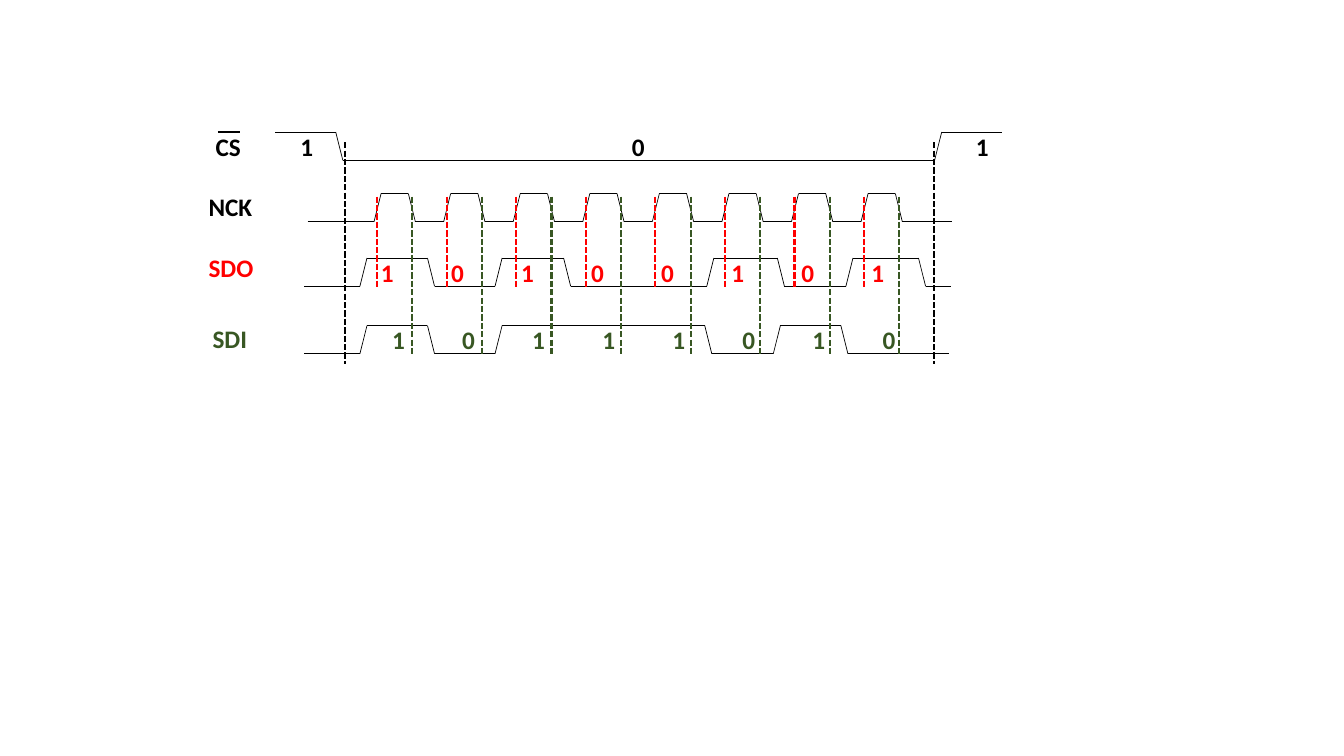
from lxml.etree import SubElement
from pptx import Presentation
from pptx.dml.color import RGBColor
from pptx.enum.dml import MSO_LINE_DASH_STYLE as Dash
from pptx.enum.shapes import MSO_CONNECTOR_TYPE as Connector
from pptx.enum.text import MSO_AUTO_SIZE as AutoSize
from pptx.oxml.ns import qn
from pptx.util import Inches, Pt

COLORS = {"black": "000000", "red": "FF0000", "green": "385723"}
FONT = {"name": "Calibri", "size": Pt(18), "bold": True}
SLOPE = 0.07
SWING = 0.28
PERIOD = 0.69
BIT_STEP = 0.695
CLOCK_EDGES = [x + PERIOD * i for i in range(8) for x in (3.71, 4.05)]

SIGNALS = [
    (2.73, 9.94, 1.59, True, [3.33, 9.27]),
    (3.05, 9.44, 2.2, False, CLOCK_EDGES),
    (3.02, 9.43, 2.84, False, [3.57, 4.24, 4.91, 5.59, 7.01, 7.71, 8.39, 9.11]),
    (3.02, 9.41, 3.51, False, [3.57, 4.24, 4.91, 6.99, 7.67, 8.34]),
]
LABELS = [
    ("CS", 2.04, 1.25, 0.45, "black"),
    ("NCK", 1.97, 1.85, 0.64, "black"),
    ("SDO", 1.97, 2.45, 0.65, "red"),
    ("SDI", 2.01, 3.16, 0.55, "green"),
    ("1", 2.88, 1.25, 0.33, "black"),
    ("0", 6.17, 1.25, 0.33, "black"),
    ("1", 9.58, 1.25, 0.33, "black"),
]
BIT_ROWS = [("10100101", 3.68, 2.5, "red"), ("10111010", 3.79, 3.17, "green")]
SAMPLE_LINES = [(3.74, 2.85, "red"), (4.09, 3.52, "green")]


def add_line(s, x1, y1, x2, y2, color="black", width=0.5, dash=None):
    line = s.shapes.add_connector(
        Connector.STRAIGHT, Inches(x1), Inches(y1), Inches(x2), Inches(y2))
    line.line.color.rgb = RGBColor.from_string(COLORS[color])
    line.line.width = Pt(width)
    if dash:
        line.line.dash_style = dash
    SubElement(line._element.spPr, qn("a:effectLst"))


def add_dashed(s, x, top, bottom, color):
    add_line(s, x, top, x, bottom, color, 1.5, Dash.SQUARE_DOT)


def add_label(s, text, x, y, width, color):
    tb = s.shapes.add_textbox(Inches(x), Inches(y), Inches(width), Inches(0.4))
    tf = tb.text_frame
    tf.word_wrap = False
    tf.auto_size = AutoSize.SHAPE_TO_FIT_TEXT
    r = tf.paragraphs[0].add_run()
    r.text = text
    for name, value in FONT.items():
        setattr(r.font, name, value)
    r.font.color.rgb = RGBColor.from_string(COLORS[color])


def add_signal(s, start, end, low, is_high, edges):
    x = start
    for edge in edges:
        y, next_y = (low - SWING, low) if is_high else (low, low - SWING)
        add_line(s, x, y, edge, y)
        add_line(s, edge, y, edge + SLOPE, next_y)
        x, is_high = edge + SLOPE, not is_high
    y = low - SWING if is_high else low
    add_line(s, x, y, end, y)


def main():
    prs = Presentation()
    prs.slide_width, prs.slide_height = Inches(13.33), Inches(7.5)
    s = prs.slides.add_slide(prs.slide_layouts[6])
    for signal in SIGNALS:
        add_signal(s, *signal)
    for x, bottom, color in SAMPLE_LINES:
        for i in range(8):
            add_dashed(s, x + PERIOD * i, 1.95, bottom, color)
    for x in (3.42, 9.26):
        add_dashed(s, x, 1.41, 3.61, "black")
    for label in LABELS:
        add_label(s, *label)
    for bits, x, y, color in BIT_ROWS:
        for i, bit in enumerate(bits):
            add_label(s, bit, x + BIT_STEP * i, y, 0.33, color)
    add_line(s, 2.16, 1.31, 2.38, 1.31, width=2)
    prs.save("out.pptx")


if __name__ == "__main__":
    main()
